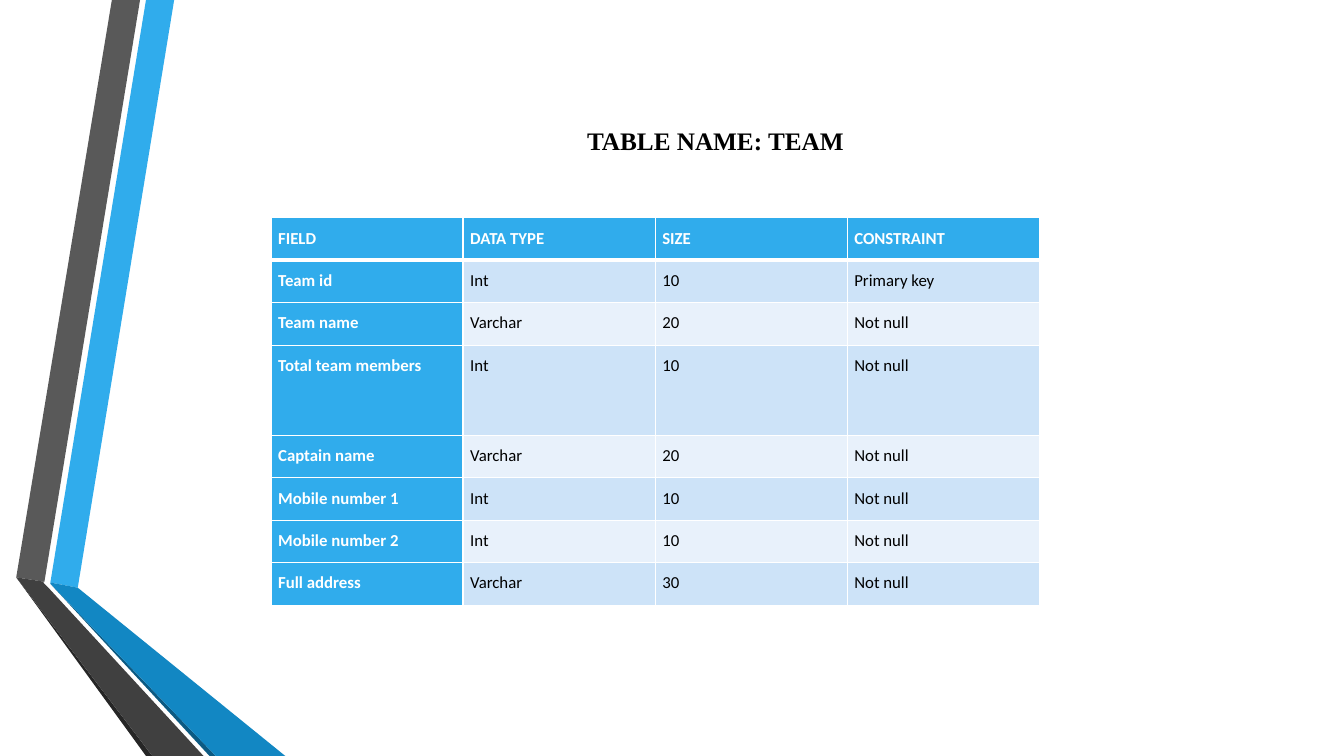
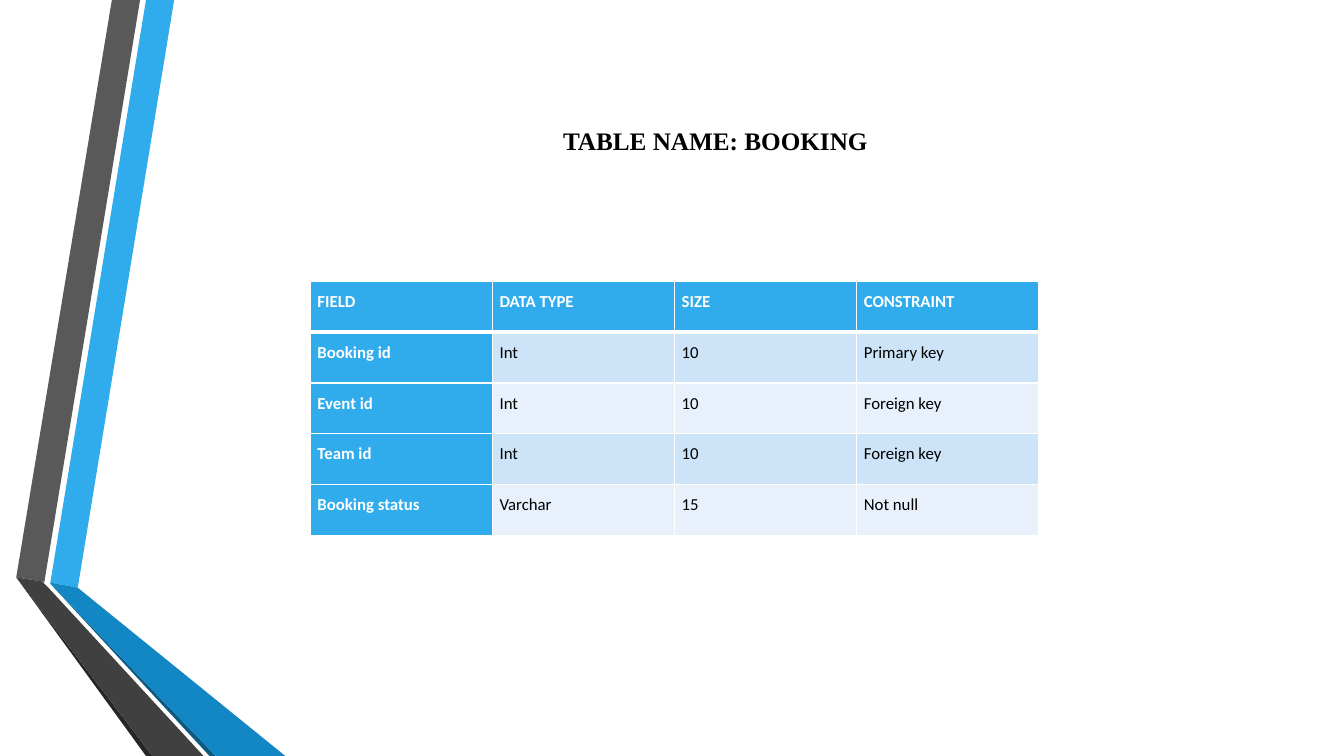
"""Build two slides that describe the team and booking database tables."""
from pptx import Presentation
from pptx.dml.color import RGBColor
from pptx.enum.text import MSO_ANCHOR, PP_ALIGN
from pptx.oxml import parse_xml
from pptx.oxml.ns import nsdecls
from pptx.util import Cm, Pt

BLUE, WHITE, BLACK = "30ACEC", "FFFFFF", "000000"
BANDS = ["CDE3F8", "E8F1FB"]
HEADER = ["FIELD", "DATA TYPE", "SIZE", "CONSTRAINT"]

RIBBONS = [
    (BLUE, [(1.27, 14.68), (1.96, 14.81), (4.39, 0), (3.68, 0)]),
    ("595959", [(3.53, 0), (2.82, 0), (0.41, 14.55), (1.12, 14.66)]),
    ("262626", [(0.41, 14.55), (3.68, 19.05), (3.84, 19.05)]),
    ("0C5A82", [(1.27, 14.71), (5.28, 19.05), (5.44, 19.05)]),
    ("1287C3", [(1.27, 14.71), (5.44, 19.05), (7.19, 19.05), (1.96, 14.81), (1.27, 14.68)]),
    ("404040", [(5.13, 19.05), (1.22, 14.81), (1.09, 14.68), (1.12, 14.66),
                (0.41, 14.55), (3.84, 19.05)]),
]

SLIDES = [
    dict(title="TABLE NAME: TEAM", left=6.83, top=5.49, col=4.84, row=1.07, tall={3: 2.27}, rows=[
        ["Team id", "Int", "10", "Primary key"],
        ["Team name", "Varchar", "20", "Not null"],
        ["Total team members", "Int", "10", "Not null"],
        ["Captain name", "Varchar", "20", "Not null"],
        ["Mobile number 1", "Int", "10", "Not null"],
        ["Mobile number 2", "Int", "10", "Not null"],
        ["Full address", "Varchar", "30", "Not null"],
    ]),
    dict(title="TABLE NAME: BOOKING", left=7.82, top=7.09, col=4.59, row=1.28, tall={}, rows=[
        ["Booking id", "Int", "10", "Primary key"],
        ["Event id", "Int", "10", "Foreign key"],
        ["Team id", "Int", "10", "Foreign key"],
        ["Booking status", "Varchar", "15", "Not null"],
    ]),
]


def rgb(color):
    """Turn a hex string into a colour."""
    return RGBColor.from_string(color)


def write(tf, text, font="Calibri", size=12, color=BLACK, bold=False,
          align=PP_ALIGN.LEFT, spacing=1.0):
    """Put one formatted line into a text frame."""
    p = tf.paragraphs[0]
    p.alignment, p.line_spacing = align, spacing
    r = p.add_run()
    r.text = text
    r.font.name, r.font.size, r.font.bold = font, Pt(size), bold
    r.font.color.rgb = rgb(color)


prs = Presentation()
prs.slide_width, prs.slide_height = Cm(33.87), Cm(19.05)

for data in SLIDES:
    s = prs.slides.add_slide(prs.slide_layouts[6])

    for color, points in RIBBONS:
        start, *rest = [(Cm(x), Cm(y)) for x, y in points]
        builder = s.shapes.build_freeform(*start)
        builder.add_line_segments(rest)
        sp = builder.convert_to_shape()
        sp.shadow.inherit = False
        sp.fill.solid()
        sp.fill.fore_color.rgb = rgb(color)
        sp.line.fill.background()

    tf = s.shapes.add_textbox(Cm(4.11), Cm(1.9), Cm(27.84), Cm(4.88)).text_frame
    tf.word_wrap = True
    tf.vertical_anchor = MSO_ANCHOR.MIDDLE
    tf.margin_bottom = Cm(1.75)
    write(tf, data["title"], font="Times New Roman", size=18, bold=True, align=PP_ALIGN.CENTER)

    rows = [HEADER] + data["rows"]
    heights = [Cm(data["tall"].get(i, data["row"])) for i in range(len(rows))]
    table = s.shapes.add_table(len(rows), len(HEADER), Cm(data["left"]), Cm(data["top"]),
                               Cm(data["col"] * len(HEADER)), sum(heights)).table
    table.first_col = True
    for column in table.columns:
        column.width = Cm(data["col"])
    for i, values in enumerate(rows):
        table.rows[i].height = heights[i]
        for j, text in enumerate(values):
            cell = table.cell(i, j)
            label = i == 0 or j == 0
            cell.margin_left = cell.margin_right = Cm(0.18)
            cell.margin_top = cell.margin_bottom = 0
            write(cell.text_frame, text, color=WHITE if label else BLACK, bold=label, spacing=1.5)
            for side in "LRTB":
                width = 3 if (i, side) in [(0, "B"), (1, "T")] else 1
                cell._tc.get_or_add_tcPr().append(parse_xml(
                    f'<a:ln{side} {nsdecls("a")} w="{Pt(width)}"><a:solidFill>'
                    f'<a:srgbClr val="{WHITE}"/></a:solidFill></a:ln{side}>'))
            cell.fill.solid()
            cell.fill.fore_color.rgb = rgb(BLUE if label else BANDS[(i - 1) % 2])

prs.save("out.pptx")
